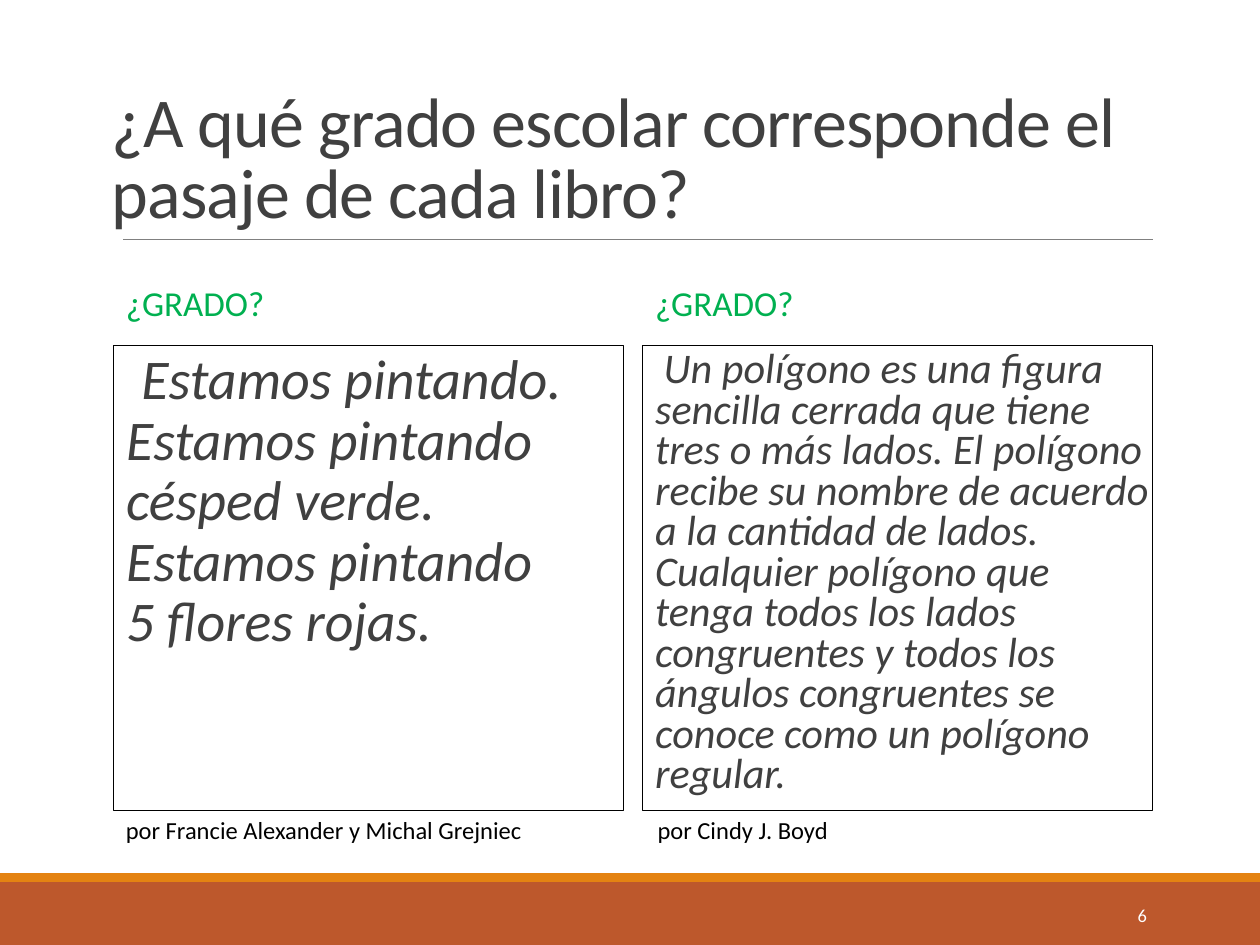
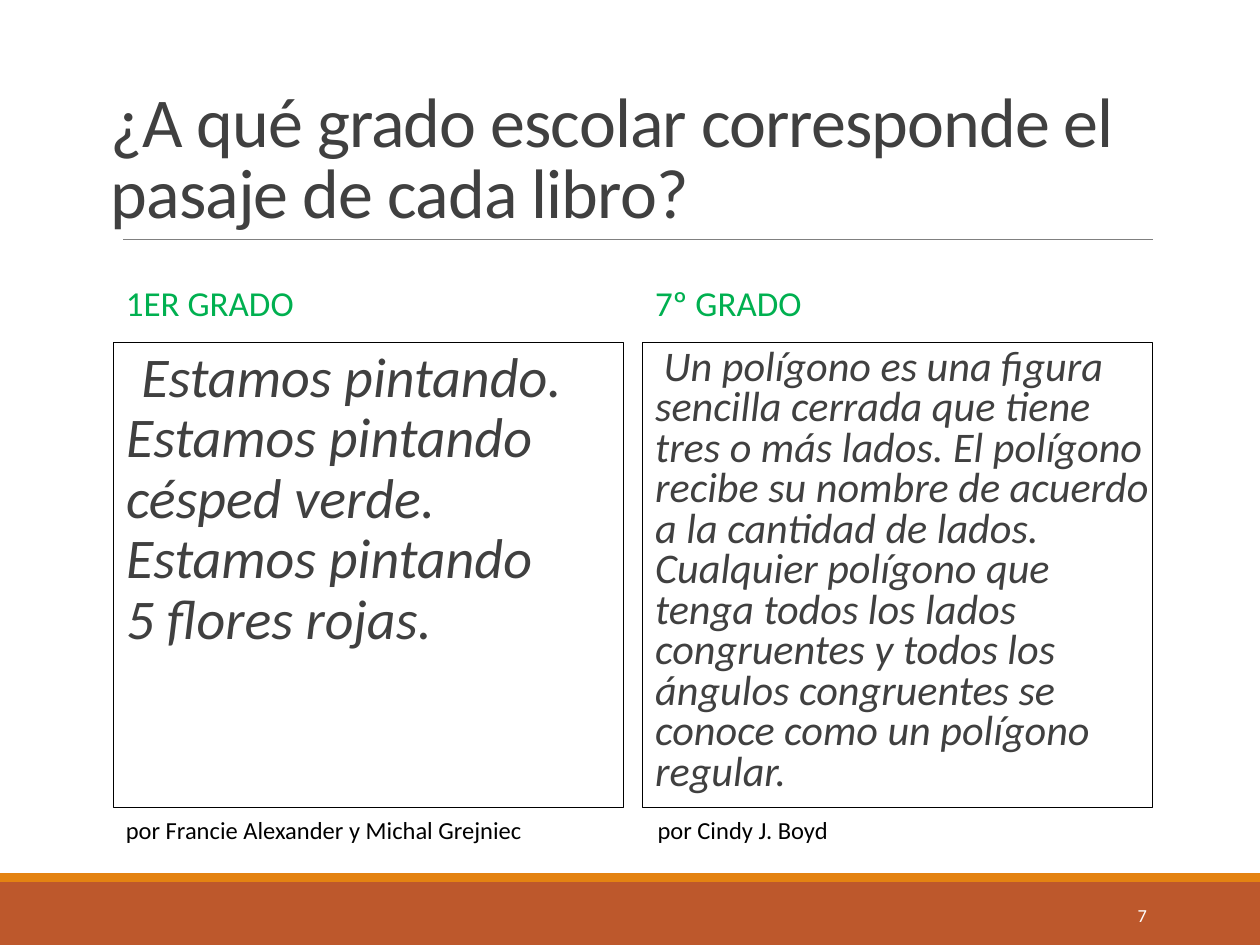
from lxml import etree
from pptx import Presentation
from pptx.dml.color import RGBColor
from pptx.enum import shapes, text
from pptx.oxml import ns
from pptx.util import Pt

RUST = RGBColor(0xBD, 0x58, 0x2C)
ORANGE = RGBColor(0xE4, 0x83, 0x12)
GRAY = RGBColor(0x80, 0x80, 0x80)
DARK = RGBColor(0x40, 0x40, 0x40)
GREEN = RGBColor(0x00, 0xB0, 0x50)
BLACK = RGBColor(0, 0, 0)
WHITE = RGBColor(0xFF, 0xFF, 0xFF)

WIDTH, HEIGHT = 720, 540
COLUMN_LEFTS = (64.8, 367.2)
COLUMN_WIDTH = 291.6
RULE_Y = 136.8

TITLE = "¿A qué grado escolar corresponde el pasaje de cada libro?"
PASSAGES = (
    ("Estamos pintando. Estamos pintando césped verde. Estamos pintando \n5 flores rojas.",
     32, 0.9, "por Francie Alexander y Michal Grejniec", 64.8),
    ("Un polígono es una figura sencilla cerrada que tiene tres o más lados. "
     "El polígono recibe su nombre de acuerdo a la cantidad de lados. "
     "Cualquier polígono que tenga todos los lados congruentes y todos los ángulos "
     "congruentes se conoce como un polígono regular.",
     24.1, 0.8, "por Cindy J. Boyd", 368.64),
)
SLIDES = (
    (6, ("¿GRADO?", "¿GRADO?"), 56.88, 197.28),
    (7, ("1ER GRADO", "7º GRADO"), 56.16, 195.84),
)


class Deck:
    font = "Calibri"

    def __init__(self):
        self.prs = Presentation()
        self.prs.slide_width, self.prs.slide_height = Pt(WIDTH), Pt(HEIGHT)
        self.s = None

    def new_slide(self):
        self.s = self.prs.slides.add_slide(self.prs.slide_layouts[6])

    def rect(self, *box, fill=None, line=None):
        sp = self.s.shapes.add_shape(shapes.MSO_SHAPE.RECTANGLE, *map(Pt, box))
        sp.shadow.inherit = False
        if fill is None:
            sp.fill.background()
        else:
            sp.fill.solid()
            sp.fill.fore_color.rgb = fill
        if line is None:
            sp.line.fill.background()
        else:
            sp.line.color.rgb = line
            sp.line.width = Pt(0.75)
        return sp

    def rule(self, x1, x2, y):
        c = self.s.shapes.add_connector(
            shapes.MSO_CONNECTOR.STRAIGHT, Pt(x1), Pt(y), Pt(x2), Pt(y))
        c.line.color.rgb = GRAY
        c.line.width = Pt(0.5)
        etree.SubElement(c._element.spPr, ns.qn("a:effectLst"))

    def set_text(self, sp, words, size, color, anchor=text.MSO_ANCHOR.TOP,
                 spacing=1, align=text.PP_ALIGN.LEFT, italic=False):
        tf = sp.text_frame
        tf.word_wrap = True
        tf.vertical_anchor = anchor
        p = tf.paragraphs[0]
        p.text = words
        for name, value in {"line_spacing": spacing, "alignment": align}.items():
            setattr(p, name, value)
        for r in p.runs:
            for name, value in {"name": self.font, "size": Pt(size), "italic": italic}.items():
                setattr(r.font, name, value)
            r.font.color.rgb = color
        return p

    def label(self, box, words, size, color, **style):
        sp = self.s.shapes.add_textbox(*map(Pt, box))
        return self.set_text(sp, words, size, color, **style)

    def title(self, left):
        p = self.label((left, 22.32, 614.5, 114.48), TITLE, 40, DARK,
                       anchor=text.MSO_ANCHOR.BOTTOM, spacing=0.85)
        p.runs[0].font._element.set("spc", "-50")

    def passage(self, left, top, words, size, spacing):
        sp = self.rect(left, top, COLUMN_WIDTH, 265.68, line=BLACK)
        sp.text_frame.margin_left = sp.text_frame.margin_right = 0
        p = self.set_text(sp, words, size, DARK, spacing=spacing, italic=True)
        pPr = p._p.get_or_add_pPr()
        pPr.set("marL", str(Pt(7.2)))
        pPr.set("indent", str(-Pt(7.2)))
        color = etree.SubElement(pPr, ns.qn("a:buClr"))
        etree.SubElement(color, ns.qn("a:srgbClr"), val=str(ORANGE))
        etree.SubElement(pPr, ns.qn("a:buChar"), char=" ")

    def frame(self, number):
        self.rect(0, 504, WIDTH, 36, fill=RUST)
        self.rect(0, 498.96, WIDTH, 5.04, fill=ORANGE)
        self.rule(70.56, 658.8, RULE_Y)
        self.label((584.64, 508.32, 77.76, 28.8), str(number), 10.5, WHITE,
                   anchor=text.MSO_ANCHOR.MIDDLE, align=text.PP_ALIGN.RIGHT)


def main():
    deck = Deck()
    for number, grades, title_left, passage_top in SLIDES:
        deck.new_slide()
        deck.frame(number)
        deck.title(title_left)
        for left, grade, passage in zip(COLUMN_LEFTS, grades, PASSAGES):
            words, size, spacing, author, author_left = passage
            deck.label((left, 145.44, COLUMN_WIDTH, 58.32), grade, 20, GREEN,
                       anchor=text.MSO_ANCHOR.MIDDLE, spacing=0.9)
            deck.passage(left, passage_top, words, size, spacing)
            deck.label((author_left, 462.24, 288.72, 24.48), author, 14, BLACK)
    deck.prs.save("out.pptx")


if __name__ == "__main__":
    main()
